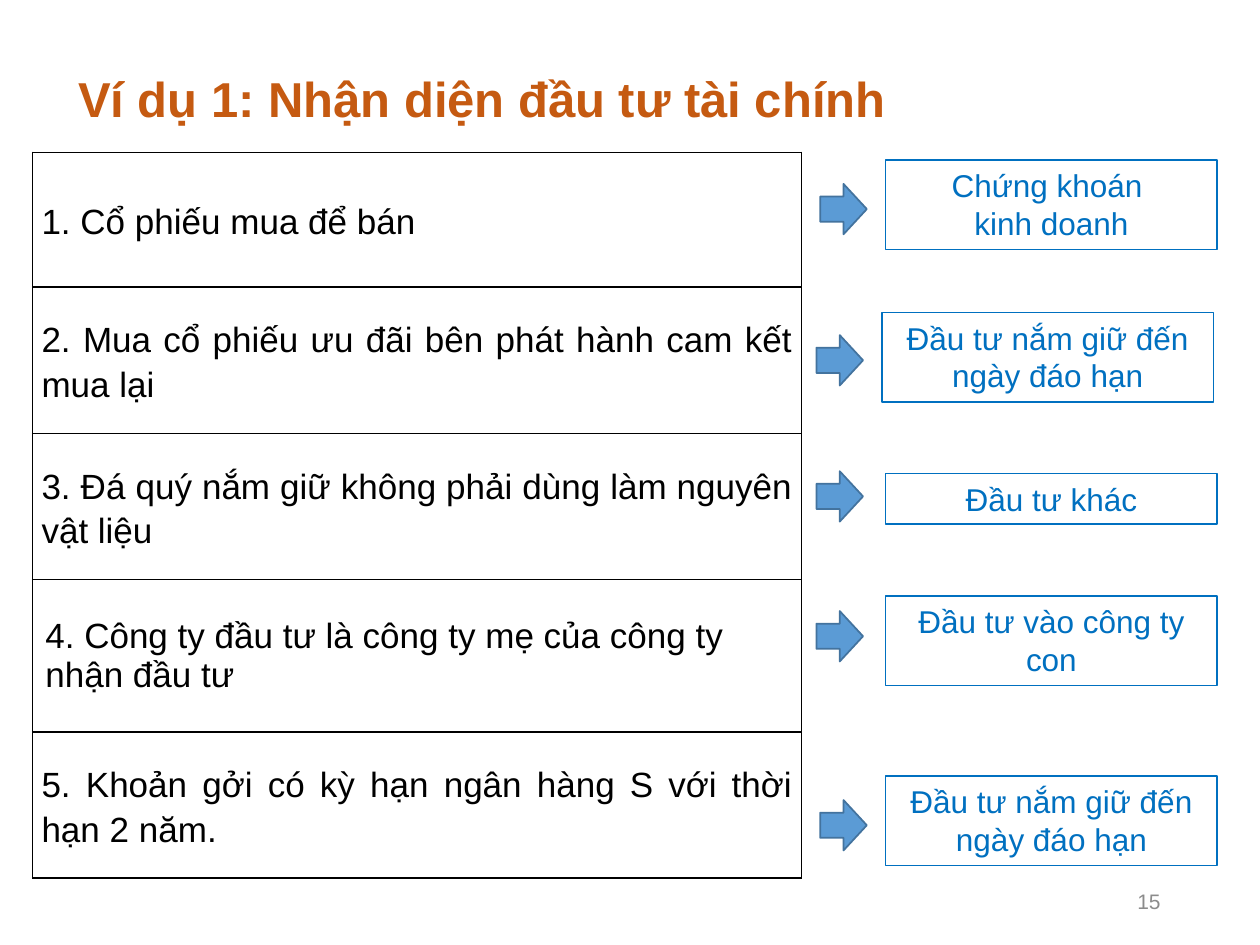
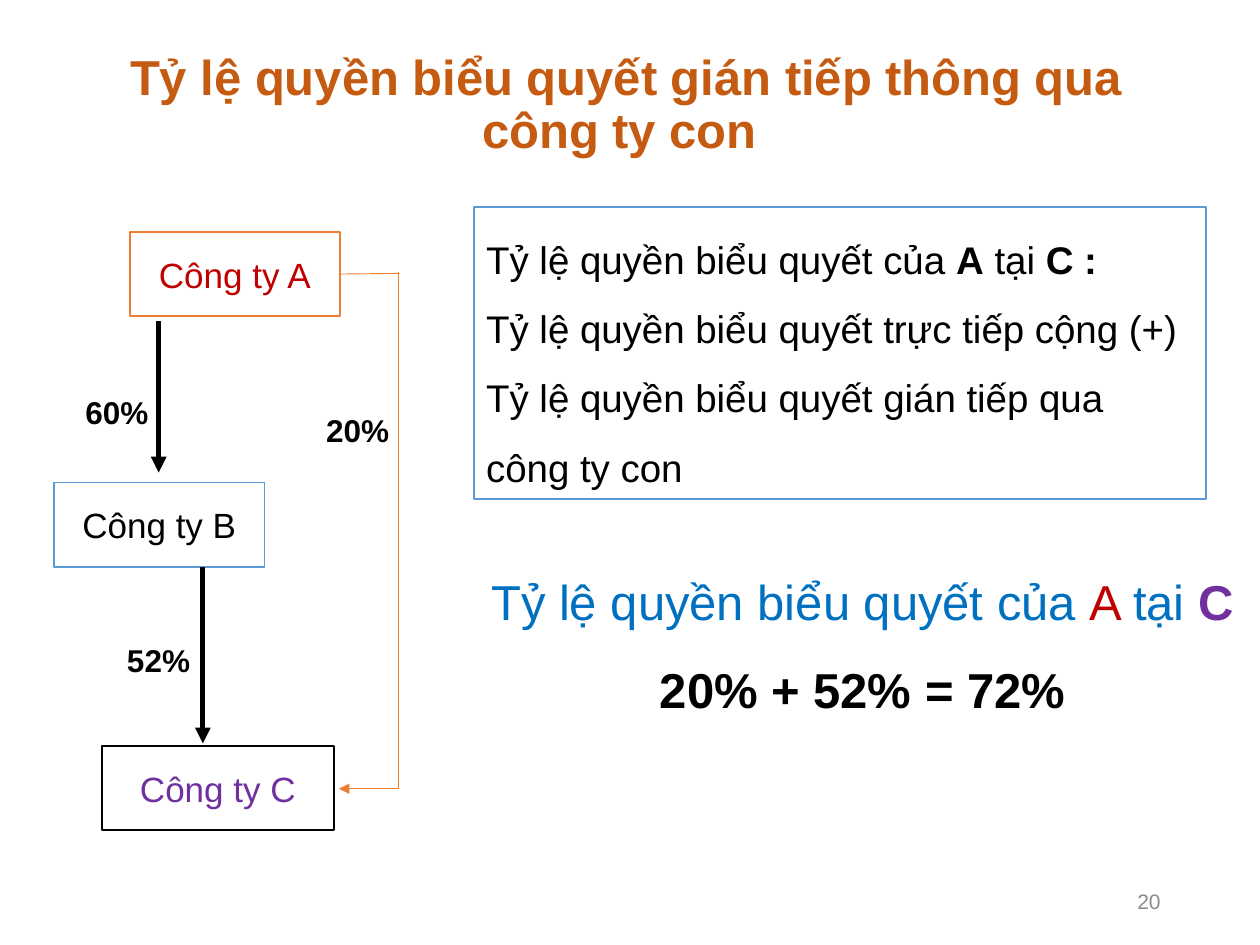
"""Builds two slides on spotting financial investments and indirect voting rights."""
from dataclasses import dataclass

from lxml.etree import SubElement as Sub
from pptx import Presentation
from pptx.dml.color import RGBColor as Rgb
from pptx.enum.shapes import MSO_CONNECTOR as Wire, MSO_SHAPE as Form
from pptx.enum.text import MSO_ANCHOR as Anchor, MSO_AUTO_SIZE as Fit, PP_ALIGN as Align
from pptx.oxml.ns import qn
from pptx.util import Inches, Pt


@dataclass(frozen=True)
class Theme:
    font: str = "Arial"
    rust: str = "C55A11"
    black: str = "000000"
    white: str = "FFFFFF"
    blue: str = "0070C0"
    sky: str = "5B9BD5"
    navy: str = "43739E"
    orange: str = "ED7D31"
    red: str = "C00000"
    purple: str = "7030A0"
    gray: str = "8C8C8C"
    head: int = 28
    rule: int = 22
    body: int = 20
    label: int = 18
    foot: int = 12


look = Theme()


def write(frame, *paras, size=look.body, color=look.black, bold=False, align=Align.LEFT,
          space=1.0, anchor=Anchor.TOP, wrap=True):
    """Fill a frame; a paragraph is a string or a list of (text, color, bold) runs."""
    frame.word_wrap = wrap
    frame.auto_size = Fit.NONE
    frame.vertical_anchor = anchor
    for i, runs in enumerate(paras):
        para = frame.paragraphs[0] if i == 0 else frame.add_paragraph()
        para.alignment, para.line_spacing, para.space_before = align, space, Pt(0)
        for text, tint, heavy in [(runs, color, bold)] if isinstance(runs, str) else runs:
            run = para.add_run()
            run.text = text
            run.font.name, run.font.size, run.font.bold = look.font, Pt(size), heavy
            run.font.color.rgb = Rgb.from_string(tint)


def draw(slide, form, at, line, fill=None, width=1):
    """Add a preset shape with a plain outline and an optional fill."""
    shape = slide.shapes.add_shape(form, *map(Inches, at))
    shape.shadow.inherit = False
    shape.line.color.rgb = Rgb.from_string(line)
    shape.line.width = Pt(width)
    if fill:
        shape.fill.solid()
        shape.fill.fore_color.rgb = Rgb.from_string(fill)
    else:
        shape.fill.background()
    return shape


deck = Presentation()
deck.slide_width, deck.slide_height = Inches(10), Inches(7.5)

slides = []
for text, at, align, page in [
    ("Ví dụ 1: Nhận diện đầu tư tài chính", (0.52, 0.4, 9.01, 0.81), Align.LEFT, "15"),
    ("Tỷ lệ quyền biểu quyết gián tiếp thông qua công ty con ", (0.66, 0.33, 8.62, 1.02),
     Align.CENTER, "20"),
]:
    slide = deck.slides.add_slide(deck.slide_layouts[5])
    title = slide.shapes.title
    title.left, title.top, title.width, title.height = map(Inches, at)
    write(title.text_frame, text, size=look.head, color=look.rust, bold=True, align=align,
          space=0.9, anchor=Anchor.MIDDLE)
    foot = slide.shapes.add_textbox(Inches(7.06), Inches(6.95), Inches(2.25), Inches(0.4))
    write(foot.text_frame, page, size=look.foot, color=look.gray, align=Align.RIGHT,
          anchor=Anchor.MIDDLE)
    slides.append(slide)
quiz, vote = slides

cases = [
    ("1. Cổ phiếu mua để bán", 1.07, True),
    ("2. Mua cổ phiếu ưu đãi bên phát hành cam kết mua lại", 1.16, True),
    ("3. Đá quý nắm giữ không phải dùng làm nguyên vật liệu", 1.16, True),
    ("4. Công ty đầu tư là công ty mẹ của công ty nhận đầu tư", 1.21, False),
    ("5. Khoản gởi có kỳ hạn ngân hàng S với thời hạn 2 năm.", 1.16, True),
]
grid = quiz.shapes.add_table(len(cases), 1, Inches(0.26), Inches(1.21), Inches(6.1),
                             Inches(5.76)).table
grid.first_row = grid.horz_banding = False
for i, (text, height, full) in enumerate(cases):
    grid.rows[i].height = Inches(height)
    cell = grid.cell(i, 0)
    if full:
        cell.margin_left = cell.margin_right = Inches(0.07)
        cell.margin_top = cell.margin_bottom = 0
    write(cell.text_frame, text, align=Align.JUSTIFY if full else Align.LEFT,
          space=1.15 if full else 1.0)
    cell.vertical_anchor = Anchor.MIDDLE
    props = cell._tc.get_or_add_tcPr()
    for side in "LRTB":
        edge = Sub(props, qn(f"a:ln{side}"), w=str(Pt(1)))
        Sub(Sub(edge, qn("a:solidFill")), qn("a:srgbClr"), val=look.black)
    cell.fill.background()

held = ["Đầu tư nắm giữ đến ngày đáo hạn"]
for paras, left, top, height, tip in [
    (["Chứng khoán ", "kinh doanh"], 7.03, 1.27, 0.71, (6.51, 1.46)),
    (held, 7, 2.48, 0.71, (6.48, 2.66)),
    (["Đầu tư khác"], 7.03, 3.76, 0.4, (6.48, 3.74)),
    (["Đầu tư vào công ty con"], 7.03, 4.73, 0.71, (6.48, 4.85)),
    (held, 7.03, 6.16, 0.71, (6.51, 6.35)),
]:
    draw(quiz, Form.RIGHT_ARROW, (*tip, 0.37, 0.4), look.navy, look.sky)
    kind = draw(quiz, Form.RECTANGLE, (left, top, 2.63, height), look.blue, width=0.75)
    write(kind.text_frame, *paras, size=look.label, color=look.blue, align=Align.CENTER)

firms = {}
for name, left, top, width, line, color in [
    ("A", 1.03, 1.84, 1.67, look.orange, look.red),
    ("B", 0.43, 3.83, 1.67, look.sky, look.black),
    ("C", 0.81, 5.92, 1.84, look.black, look.purple),
]:
    firms[name] = draw(vote, Form.RECTANGLE, (left, top, width, 0.67), line, look.white)
    write(firms[name].text_frame, f"Công ty {name}", color=color, align=Align.CENTER,
          anchor=Anchor.MIDDLE, wrap=False)

for ends, color, width, tip, start in [
    ((1.26, 2.55, 1.26, 3.75), look.black, 3, True, None),
    ((1.61, 4.5, 1.61, 5.9), look.black, 3, True, None),
    ((2.7, 2.17, 3.17, 2.17), look.orange, 0.5, False, firms["A"]),
    ((3.16, 2.16, 3.16, 6.26), look.orange, 0.5, False, None),
    ((3.17, 6.26, 2.69, 6.26), look.orange, 0.5, True, None),
]:
    wire = vote.shapes.add_connector(Wire.STRAIGHT, *map(Inches, ends))
    wire.line.color.rgb = Rgb.from_string(color)
    wire.line.width = Pt(width)
    if start:
        wire.begin_connect(start, 3)
    props = wire._element.spPr
    if tip:
        Sub(props.find(qn("a:ln")), qn("a:tailEnd"), type="triangle")
    Sub(props, qn("a:effectLst"))

for text, left, top in [("60%", 0.58, 3.07), ("52%", 0.91, 5.04), ("20%", 2.49, 3.21)]:
    share = vote.shapes.add_textbox(Inches(left), Inches(top), Inches(1.06), Inches(0.4))
    write(share.text_frame, text, size=look.label, bold=True)

rule = draw(vote, Form.RECTANGLE, (3.76, 1.64, 5.81, 2.32), look.sky, look.white)
write(rule.text_frame,
      [("Tỷ lệ quyền biểu quyết của ", look.black, False), ("A", look.black, True),
       (" tại ", look.black, False), ("C :", look.black, True)],
      "Tỷ lệ quyền biểu quyết trực tiếp cộng (+) Tỷ lệ quyền biểu quyết gián tiếp qua công ty con",
      size=look.rule, space=1.5)

total = vote.shapes.add_textbox(Inches(3.69), Inches(4.25), Inches(6.31), Inches(1.43))
write(total.text_frame,
      [("Tỷ lệ quyền biểu quyết của ", look.blue, False), ("A ", look.red, False),
       ("tại ", look.blue, False), ("C ", look.purple, True),
       ("20% + 52% = 72%", look.black, True)],
      size=look.head, align=Align.CENTER, space=1.5)

deck.save("out.pptx")
